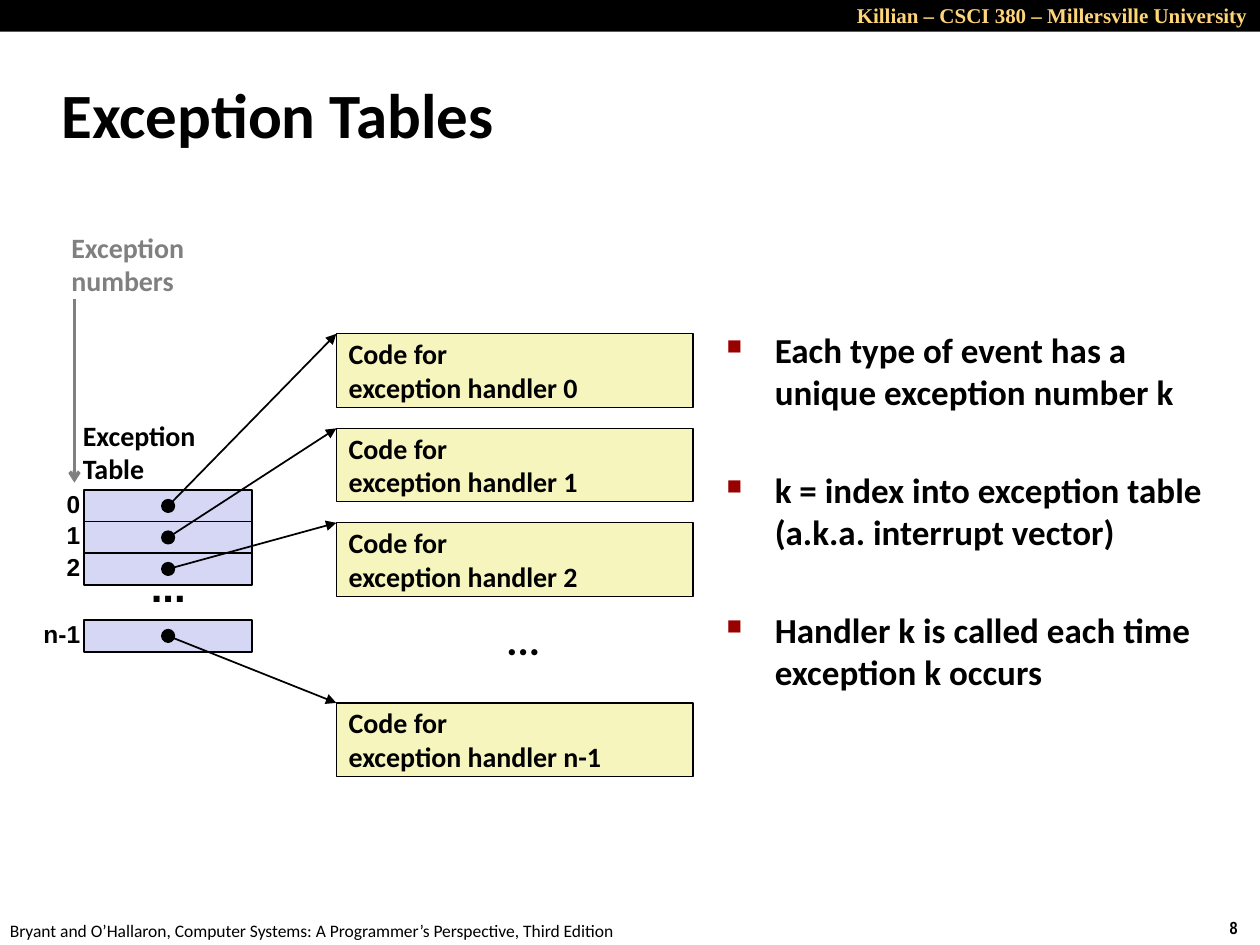
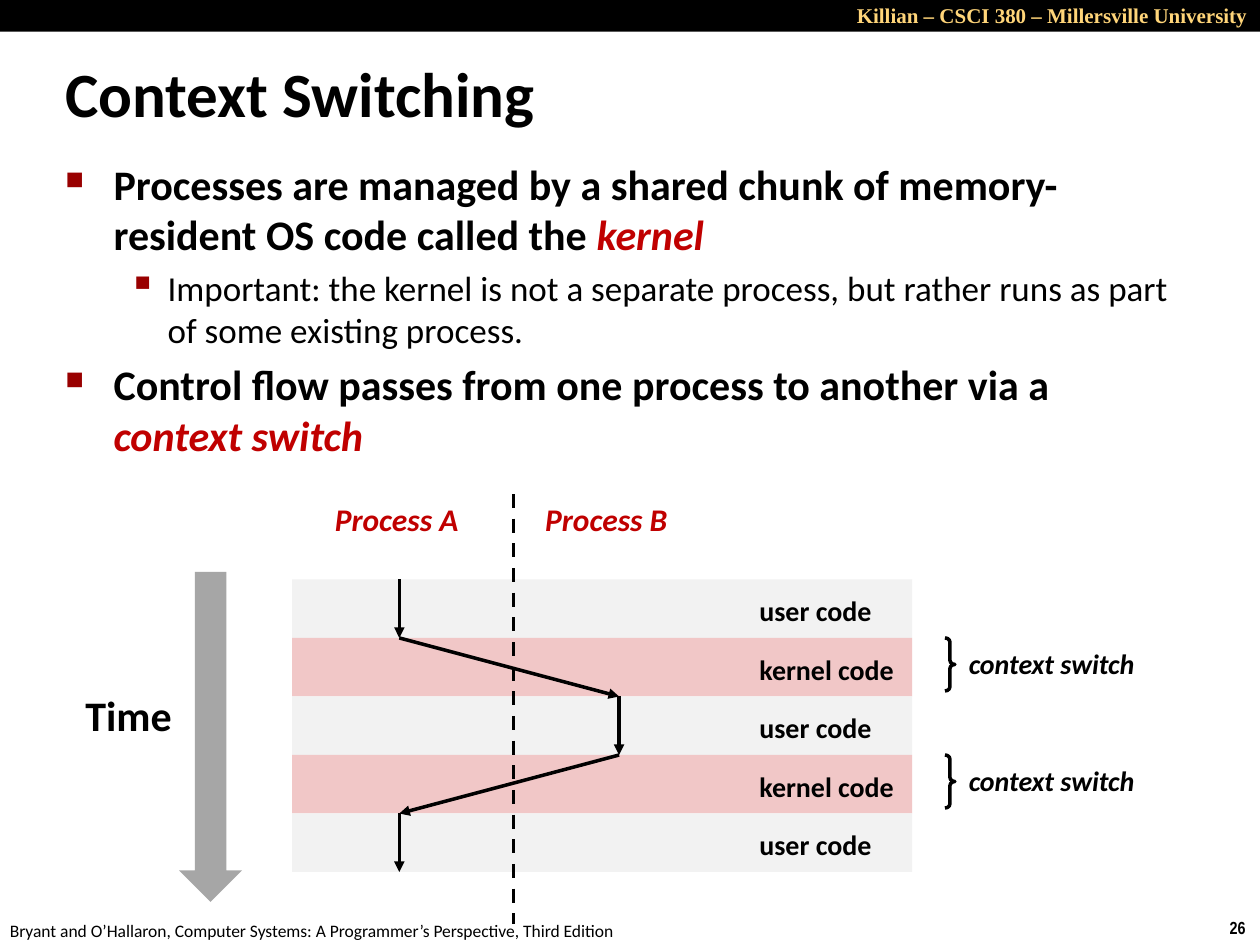
from dataclasses import dataclass
from itertools import pairwise

from lxml import etree
from pptx import Presentation
from pptx.dml.color import RGBColor
from pptx.enum.dml import MSO_LINE
from pptx.enum.shapes import MSO_CONNECTOR, MSO_SHAPE
from pptx.enum.text import MSO_ANCHOR, PP_ALIGN
from pptx.oxml.ns import qn
from pptx.util import Cm, Pt

RECT = MSO_SHAPE.RECTANGLE
OVAL = MSO_SHAPE.OVAL
BRACE = MSO_SHAPE.RIGHT_BRACE
DOWN_ARROW = MSO_SHAPE.DOWN_ARROW
STRAIGHT = MSO_CONNECTOR.STRAIGHT
DASH = MSO_LINE.DASH
TOP, MIDDLE = MSO_ANCHOR.TOP, MSO_ANCHOR.MIDDLE
LEFT, RIGHT = PP_ALIGN.LEFT, PP_ALIGN.RIGHT


@dataclass(frozen=True)
class Theme:
    """Colours, fonts and type sizes shared by the slides."""
    ink: str = "000000"
    gold: str = "FFD579"
    grey: str = "808080"
    time_grey: str = "A6A6A6"
    accent: str = "C00000"
    bullet: str = "990000"
    entry: str = "D6D6F5"
    handler: str = "F6F5BD"
    user: str = "F2F2F2"
    kernel: str = "F1C7C7"
    font: str = "Calibri"
    header_font: str = "Times New Roman"
    number_font: str = "Arial Narrow"
    index_font: str = "Arial"
    title: int = 36
    large: int = 24
    medium: int = 20
    process: int = 18
    label: int = 16
    index: int = 14
    header: int = 12
    footer: int = 10


THEME = Theme()


def add_run(paragraph, text, size, color=THEME.ink, font=THEME.font, bold=True, italic=False):
    """Append one formatted run."""
    run = paragraph.add_run()
    run.text = text
    run.font.size = Pt(size)
    run.font.name = font
    run.font.bold = bold
    run.font.italic = italic
    run.font.color.rgb = RGBColor.from_string(color)


def fill_lines(frame, lines, size, align=LEFT, **style):
    """Write each line as a paragraph of the frame."""
    for index, line in enumerate(lines):
        paragraph = frame.add_paragraph() if index else frame.paragraphs[0]
        paragraph.alignment = align
        add_run(paragraph, line, size, **style)


def add_label(slide, box, lines, size, anchor=TOP, wrap=False, **style):
    """Add a text box with the given lines."""
    frame = slide.shapes.add_textbox(*map(Cm, box)).text_frame
    frame.word_wrap = wrap
    frame.vertical_anchor = anchor
    fill_lines(frame, lines, size, **style)


def add_block(slide, kind, box, fill=None, line_width=None):
    """Add a flat preset shape with an optional fill and outline."""
    block = slide.shapes.add_shape(kind, *map(Cm, box))
    block.shadow.inherit = False
    if fill:
        block.fill.solid()
        block.fill.fore_color.rgb = RGBColor.from_string(fill)
    else:
        block.fill.background()
    if line_width:
        block.line.color.rgb = RGBColor.from_string(THEME.ink)
        block.line.width = Pt(line_width)
    else:
        block.line.fill.background()
    return block


def add_line(slide, start, end, width, color=THEME.ink, head=None, dash=None):
    """Add a straight connector with an optional arrowhead or dash."""
    connector = slide.shapes.add_connector(STRAIGHT, *map(Cm, (*start, *end)))
    connector.line.color.rgb = RGBColor.from_string(color)
    connector.line.width = Pt(width)
    if dash:
        connector.line.dash_style = dash
    properties = connector.element.spPr
    if head:
        etree.SubElement(properties.find(qn("a:ln")), qn("a:tailEnd"), type=head)
    etree.SubElement(properties, qn("a:effectLst"))


def set_bullet(paragraph, symbol, percent, margin, indent):
    """Give a paragraph a coloured bullet and a hanging indent."""
    properties = paragraph._p.get_or_add_pPr()
    properties.set("marL", str(Cm(margin)))
    properties.set("indent", str(-Cm(indent)))
    color = etree.SubElement(properties, qn("a:buClr"))
    etree.SubElement(color, qn("a:srgbClr"), val=THEME.bullet)
    etree.SubElement(properties, qn("a:buSzPct"), val=str(percent * 1000))
    etree.SubElement(properties, qn("a:buChar"), char=symbol)


def add_bullet(frame, first, size, space, sub=False):
    """Start a bulleted paragraph at the main or the sub level."""
    paragraph = frame.paragraphs[0] if first else frame.add_paragraph()
    if sub:
        paragraph.level = 1
        set_bullet(paragraph, "▪", 110, 2.06, 0.79)
    else:
        set_bullet(paragraph, "■", 60, 0.97, 0.97)
    paragraph.font.size = Pt(size)
    if not first:
        paragraph.space_before = Pt(space)
    return paragraph


def add_body(slide, box):
    """Add a wrapping box for bullets and return its text frame."""
    frame = slide.shapes.add_textbox(*map(Cm, box)).text_frame
    frame.word_wrap = True
    return frame


def start_slide(deck, number, title, title_box):
    """Add a blank slide with header band, footer, number and title."""
    slide = deck.slides.add_slide(deck.slide_layouts[6])
    add_block(slide, RECT, (0, 0, 25.4, 0.64), THEME.ink)
    add_label(slide, (14.81, -0.08, 10.59, 0.76),
              ["Killian – CSCI 380 – Millersville University"], THEME.header,
              wrap=True, align=RIGHT, color=THEME.gold, font=THEME.header_font)
    add_label(slide, (24.54, 18.36, 0.86, 0.69), [number], THEME.footer,
              font=THEME.number_font)
    add_label(slide, (-0.05, 18.42, 12.9, 0.69),
              ["Bryant and O’Hallaron, Computer Systems: "
               "A Programmer’s Perspective, Third Edition"], THEME.footer, bold=False)
    add_label(slide, title_box, [title], THEME.title, anchor=MIDDLE, wrap=True)
    return slide


def add_table_entry(slide, index, top, handler_top):
    """Draw one table entry, its handler and the pointer between them."""
    left, width, height, dot = 1.7, 3.38, 0.64, 0.25
    handler_left = 6.78
    center_x, center_y = left + width / 2, top + height / 2
    add_block(slide, RECT, (left, top, width, height), THEME.entry, 1)
    add_block(slide, OVAL, (center_x - dot / 2, center_y - dot / 2, dot, dot), THEME.ink, 1)
    add_label(slide, (0.62, center_y - 0.47, 1.25, 0.84), [index], THEME.index,
              anchor=MIDDLE, align=RIGHT, font=THEME.index_font)
    handler = add_block(slide, RECT, (handler_left, handler_top, 7.19, 1.48),
                        THEME.handler, 0.75)
    handler.text_frame.vertical_anchor = MIDDLE
    handler.text_frame.word_wrap = True
    fill_lines(handler.text_frame, ["Code for", f"exception handler {index}"], THEME.label)
    add_line(slide, (center_x, center_y), (handler_left, handler_top), 1, head="triangle")


def build_exception_tables(deck):
    """Build the slide on the exception table and its handlers."""
    slide = start_slide(deck, "8", "Exception Tables", (0.99, 1.22, 21.08, 2.11))
    for row in range(3):
        add_table_entry(slide, str(row), 9.88 + 0.635 * row, 6.73 + 1.905 * row)
    add_table_entry(slide, "n-1", 12.5, 14.17)
    add_label(slide, (2.79, 11.18, 1.22, 1.27), ["..."], THEME.large,
              anchor=MIDDLE, font=THEME.index_font)
    add_label(slide, (9.96, 12.24, 1.22, 1.27), ["..."], THEME.large, anchor=MIDDLE)
    add_label(slide, (1.42, 8.31, 2.82, 1.63), ["Exception", "Table"], THEME.label)
    add_label(slide, (1.19, 4.52, 2.95, 1.63), ["Exception", "numbers"], THEME.label,
              color=THEME.grey)
    add_line(slide, (1.5, 6.02), (1.5, 9.73), 2, THEME.grey, head="arrow")

    facts = [
        ("Each type of event has a", "unique exception number k"),
        ("k = index into exception table", "(a.k.a. interrupt vector)"),
        ("Handler k is called each time", "exception k occurs"),
    ]
    body = add_body(slide, (14.4, 6.5, 10.59, 8.94))
    for position, (opening, ending) in enumerate(facts):
        paragraph = add_bullet(body, position == 0, THEME.medium, 32)
        add_run(paragraph, opening, THEME.medium)
        paragraph.add_line_break()
        add_run(paragraph, ending, THEME.medium)


def add_context_bullets(slide):
    """Add the statements about the kernel and context switches."""
    body = add_body(slide, (1.07, 3.07, 23.04, 7.09))
    managed = add_bullet(body, True, THEME.large, 0)
    add_run(managed, "Processes are managed by a shared chunk of memory-resident "
                     "OS code called the ", THEME.large)
    add_run(managed, "kernel", THEME.large, THEME.accent, italic=True)
    important = add_bullet(body, False, THEME.medium, 4, sub=True)
    add_run(important, "Important: the kernel is not a separate process, but rather "
                       "runs as part of some existing process.", THEME.medium, bold=False)
    control = add_bullet(body, False, THEME.large, 4.8)
    add_run(control, "Control flow passes from one process to another via a ", THEME.large)
    add_run(control, "context switch", THEME.large, THEME.accent, italic=True)


def build_context_switching(deck):
    """Build the slide on control flow between two processes."""
    slide = start_slide(deck, "26", "Context Switching", (1.07, 1.07, 16.23, 1.6))
    add_context_bullets(slide)

    phase_height = 1.18
    times = [11.68 + phase_height * step for step in range(6)]
    for phase, top in enumerate(times[:-1]):
        in_kernel = phase % 2 == 1
        add_block(slide, RECT, (5.89, top, 12.5, phase_height),
                  THEME.kernel if in_kernel else THEME.user)
        add_label(slide, (15.06, top + 0.16, 3.25 if in_kernel else 2.79, 0.94),
                  ["kernel code" if in_kernel else "user code"], THEME.label)
        if in_kernel:
            brace = add_block(slide, BRACE, (19.05, top, 0.2, 1.07), line_width=2)
            brace.adjustments[0] = 0.42
            add_label(slide, (19.28, top + 0.05, 3.91, 0.94), ["context switch"],
                      THEME.label, italic=True)

    for name, left in (("Process A", 6.5), ("Process B", 10.74)):
        add_label(slide, (left, 9.96, 3.04, 1.02), [name], THEME.process,
                  color=THEME.accent, italic=True)
    add_line(slide, (10.35, 9.96), (10.35, 18.62), 2, dash=DASH)
    process_a, process_b = 8.05, 12.48
    lanes = [process_a, process_a, process_b, process_b, process_a, process_a]
    for start, end in pairwise(zip(lanes, times)):
        add_line(slide, start, end, 2, head="triangle")

    add_label(slide, (1.47, 13.77, 2.26, 1.27), ["Time"], THEME.large)
    add_block(slide, DOWN_ARROW, (3.61, 11.53, 1.27, 6.65), THEME.time_grey)


def main():
    """Build and save the deck."""
    deck = Presentation()
    deck.slide_width, deck.slide_height = Cm(25.4), Cm(19.05)
    build_exception_tables(deck)
    build_context_switching(deck)
    deck.save("out.pptx")


if __name__ == "__main__":
    main()
